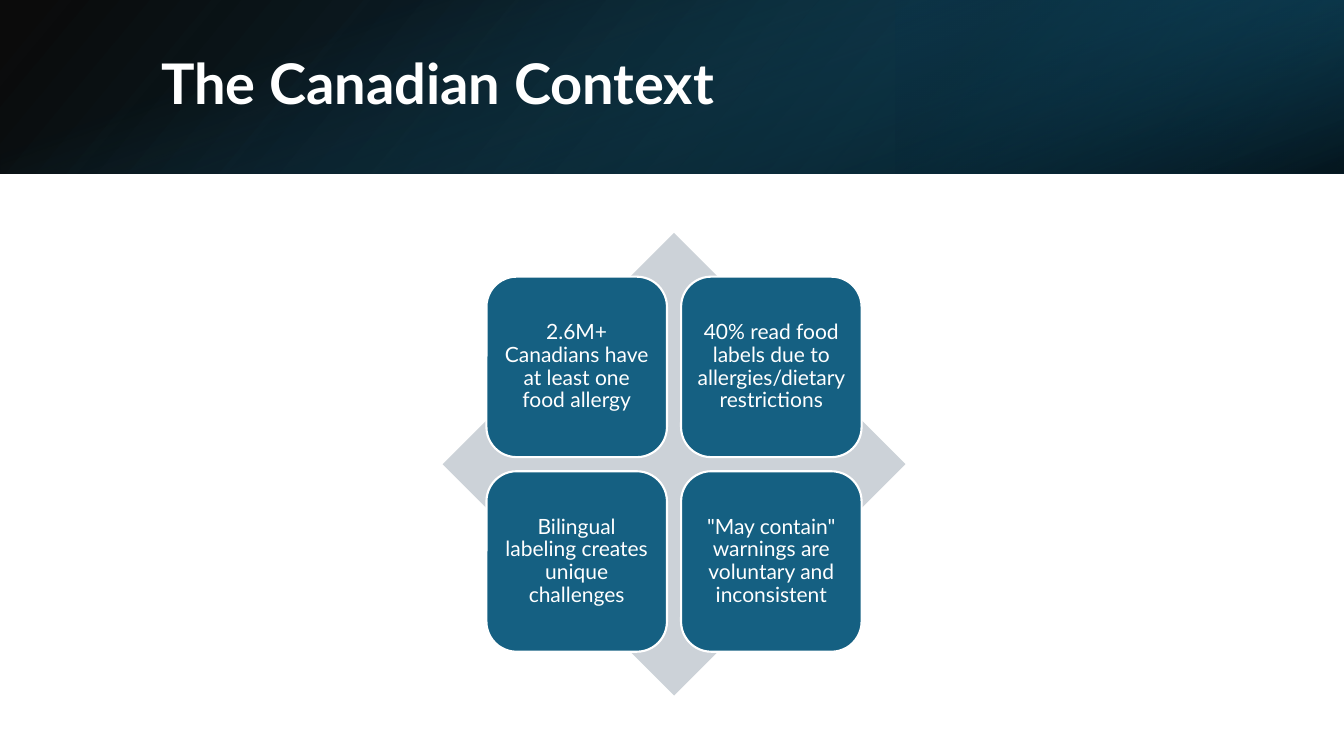
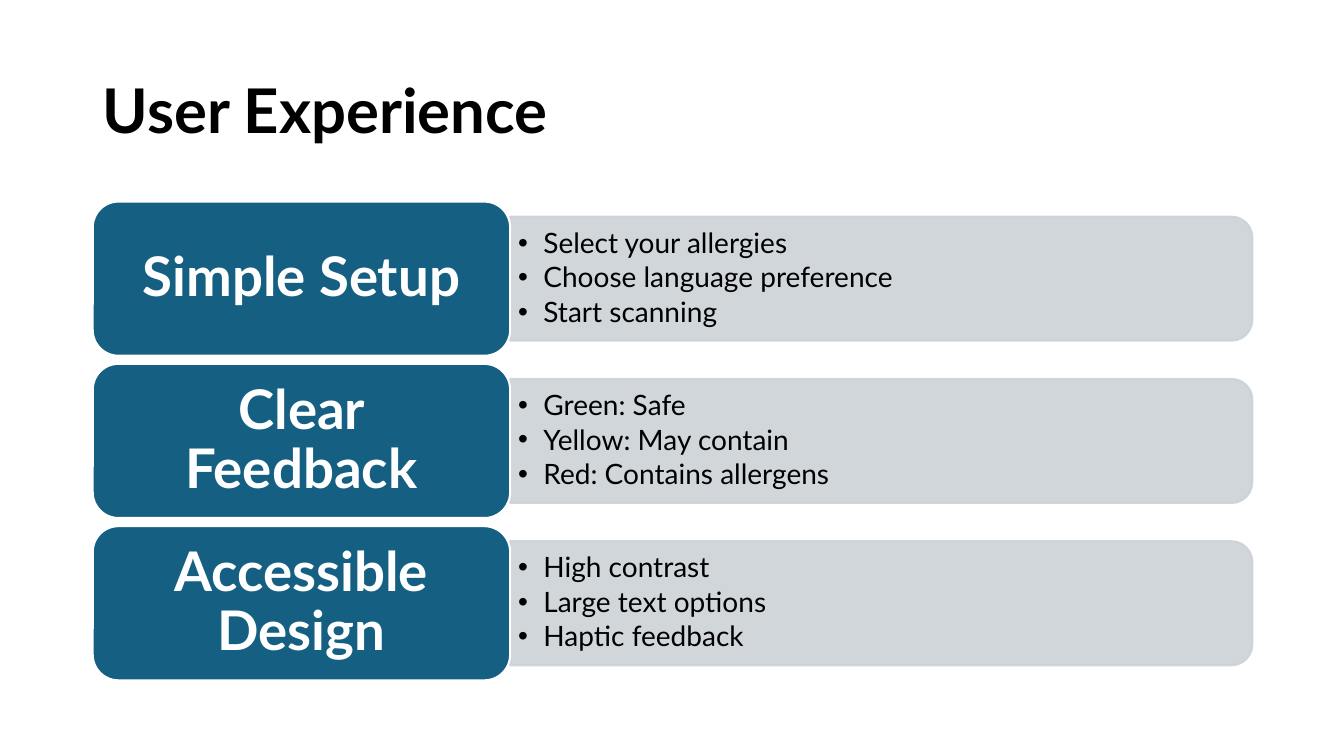
from pptx import Presentation
from pptx.dml.color import RGBColor
from pptx.enum.shapes import MSO_SHAPE
from pptx.enum.text import MSO_ANCHOR, PP_ALIGN
from pptx.oxml.ns import qn
from pptx.util import Inches, Pt
from lxml import etree

RECTANGLE = MSO_SHAPE.RECTANGLE
DIAMOND = MSO_SHAPE.DIAMOND
ROUNDED = MSO_SHAPE.ROUNDED_RECTANGLE
ROUNDED_TOP = MSO_SHAPE.ROUND_2_SAME_RECTANGLE
MIDDLE = MSO_ANCHOR.MIDDLE
LEFT, CENTER = PP_ALIGN.LEFT, PP_ALIGN.CENTER

WIDTH, HEIGHT = 13.33, 7.5
FONT = "Lato"
WHITE, BLACK, TEAL, GREY = "FFFFFF", "000000", "156082", "CCD2D8"
DEEP_TEAL, DARK_TEAL = "104862", "0B3041"
LINE_WIDTH = 1.5

FACTS = [
    "2.6M+ Canadians have at least one food allergy",
    "40% read food labels due to allergies/dietary restrictions",
    "Bilingual labeling creates unique challenges",
    '"May contain" warnings are voluntary and inconsistent',
]
FEATURES = [
    ("Simple Setup", ["Select your allergies", "Choose language preference", "Start scanning"]),
    ("Clear Feedback", ["Green: Safe", "Yellow: May contain", "Red: Contains allergens"]),
    ("Accessible Design", ["High contrast", "Large text options", "Haptic feedback"]),
]


def color(value):
    return RGBColor.from_string(value)


def set_values(target, values):
    for name, value in values.items():
        setattr(target, name, value)


def add_child(parent, tag, **values):
    child = etree.SubElement(parent, qn(tag))
    for name, value in values.items():
        child.set(name, str(value))
    return child


def add_shape(page, kind, box, fill=None, line=None, rotation=0):
    shape = page.shapes.add_shape(kind, *map(Inches, box))
    shape.shadow.inherit = False
    shape.rotation = rotation
    if fill:
        shape.fill.solid()
        shape.fill.fore_color.rgb = color(fill)
    else:
        shape.fill.background()
    if line:
        shape.line.color.rgb = color(line)
        shape.line.width = Pt(LINE_WIDTH)
    else:
        shape.line.fill.background()
    return shape


def set_opacity(shape, percent):
    for shade in shape.element.spPr.iter(qn("a:srgbClr")):
        add_child(shade, "a:alpha", val=percent * 1000)


def add_gradient(page, box, stops, angle, rotation=0, flipped=False):
    shape = add_shape(page, RECTANGLE, box, rotation=rotation)
    properties = shape.element.spPr
    if flipped:
        properties.find(qn("a:xfrm")).set("flipH", "1")
    empty = properties.find(qn("a:noFill"))
    gradient = etree.Element(qn("a:gradFill"), rotWithShape="1")
    stop_list = add_child(gradient, "a:gsLst")
    for position, shade, opacity in stops:
        stop = add_child(stop_list, "a:gs", pos=position * 1000)
        add_child(add_child(stop, "a:srgbClr", val=shade), "a:alpha", val=opacity * 1000)
    add_child(gradient, "a:lin", ang=angle * 60000, scaled=0)
    properties.replace(empty, gradient)


def add_bullet(para):
    properties = para._p.get_or_add_pPr()
    indent = Inches(0.25)
    properties.set("marL", str(indent))
    properties.set("indent", str(-indent))
    add_child(properties, "a:buFont", typeface="Arial")
    add_child(properties, "a:buChar", char="•")


def write(shape, lines, size, shade, bold=False, align=LEFT, inset=(0.1, 0.05), bullets=False):
    frame = shape.text_frame
    side, end = map(Inches, inset)
    set_values(frame, dict(word_wrap=True, vertical_anchor=MIDDLE, margin_left=side,
                           margin_right=side, margin_top=end, margin_bottom=end))
    for index, line in enumerate(lines):
        para = frame.add_paragraph() if index else frame.paragraphs[0]
        if bullets:
            add_bullet(para)
            para.space_after = Pt(3)
        set_values(para, dict(alignment=align, line_spacing=0.9))
        span = para.add_run()
        span.text = line
        set_values(span.font, dict(name=FONT, size=Pt(size), bold=bold))
        span.font.color.rgb = color(shade)


def add_text(page, box, lines, size, shade, **style):
    write(page.shapes.add_textbox(*map(Inches, box)), lines, size, shade, **style)


def add_card(page, box, text, size, inset, bold=False):
    card = add_shape(page, ROUNDED, box, TEAL, WHITE)
    write(card, [text], size, WHITE, bold=bold, align=CENTER, inset=inset)


def turned(box):
    left, top, width, height = box
    shift = (width - height) / 2
    return left + shift, top - shift, height, width


def add_banner(page, box):
    left, top, width, height = box
    third = width / 3
    add_gradient(page, box, [(0, BLACK, 96), (100, DEEP_TEAL, 100)], 140, flipped=True)
    add_gradient(page, (left + width - third, top, third, height),
                 [(19, DARK_TEAL, 68), (100, TEAL, 79)], 320, rotation=180, flipped=True)
    add_gradient(page, turned(box), [(23, TEAL, 0), (99, BLACK, 74)], 340, rotation=90)


def add_fact_grid(page, box):
    left, top, size, _ = box
    card, gap = 1.79, 0.14
    margin = (size - 2 * card - gap) / 2
    add_shape(page, DIAMOND, box, GREY)
    for index, fact in enumerate(FACTS):
        row, column = divmod(index, 2)
        place = (left + margin + column * (card + gap),
                 top + margin + row * (card + gap), card, card)
        add_card(page, place, fact, 15, (0.06, 0.06))


def add_feature_row(page, box, name, details):
    left, top, width, height = box
    card_width, panel_height, pad = 4.14, 1.23, 0.06
    panel_left = left + card_width
    panel_width = width - card_width
    panel_top = top + (height - panel_height) / 2
    panel = add_shape(page, ROUNDED_TOP,
                      turned((panel_left, panel_top, panel_width, panel_height)),
                      GREY, GREY, rotation=90)
    set_opacity(panel, 90)
    add_text(page, (panel_left, panel_top + pad, panel_width - pad, panel_height - 2 * pad),
             details, 20, BLACK, inset=(0.08, 0.04), bullets=True)
    add_card(page, (left, top, card_width, height), name, 39, (0.16, 0.08), bold=True)


def add_context_page(page):
    add_banner(page, (0, 0, WIDTH, 1.72))
    add_text(page, (1.5, 0.38, 10.98, 0.96), ["The Canadian Context"], 40, WHITE, bold=True)
    add_fact_grid(page, (4.39, 2.31, 4.59, 4.59))


def add_experience_page(page):
    left, width, top, step = 0.92, 11.5, 2, 1.61
    add_text(page, (left, 0.4, width, 1.45), ["User Experience"], 44, BLACK, bold=True)
    for index, (name, details) in enumerate(FEATURES):
        add_feature_row(page, (left, top + index * step, width, 1.53), name, details)


def main():
    deck = Presentation()
    set_values(deck, dict(slide_width=Inches(WIDTH), slide_height=Inches(HEIGHT)))
    for build in (add_context_page, add_experience_page):
        build(deck.slides.add_slide(deck.slide_layouts[6]))
    deck.save("out.pptx")


if __name__ == "__main__":
    main()
